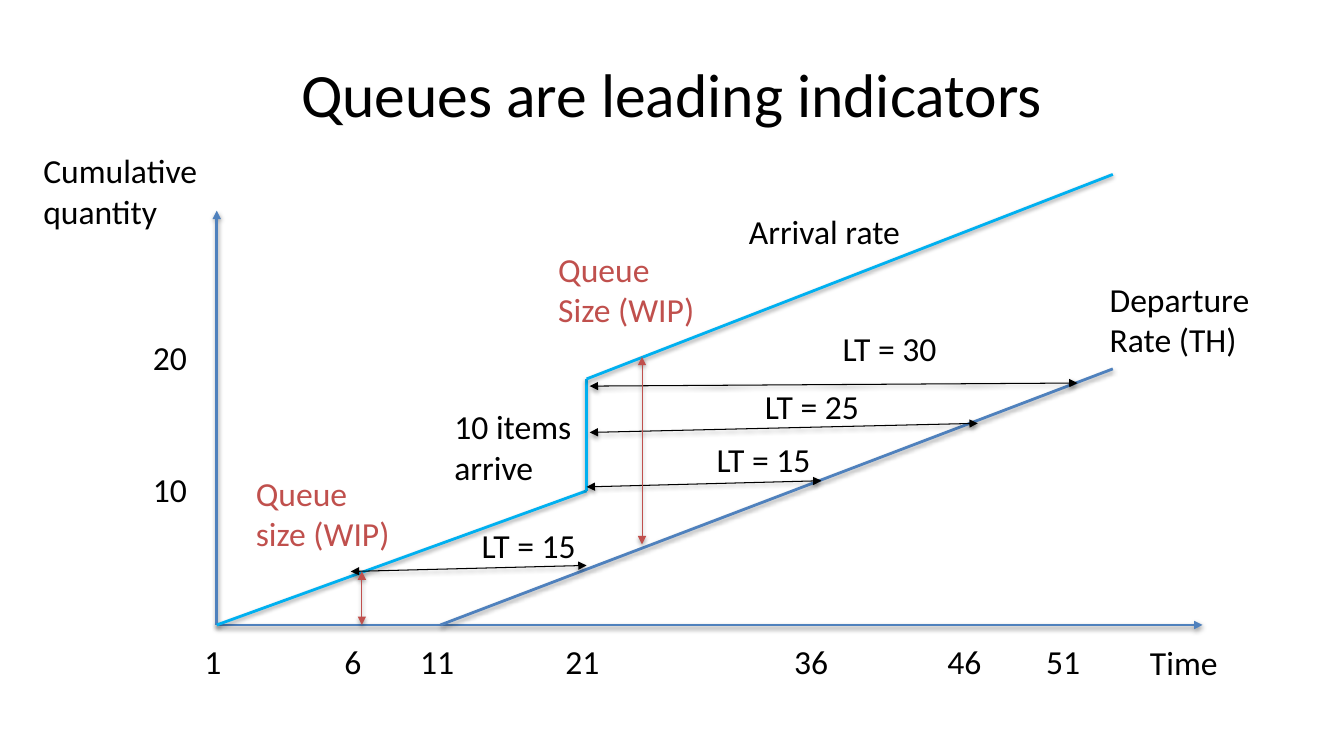
from dataclasses import dataclass
from itertools import pairwise

from lxml import etree
from pptx import Presentation
from pptx.dml.color import RGBColor
from pptx.enum.shapes import MSO_CONNECTOR
from pptx.enum.text import MSO_ANCHOR, MSO_AUTO_SIZE, PP_ALIGN
from pptx.oxml import parse_xml
from pptx.oxml.ns import qn
from pptx.util import Pt

STRAIGHT = MSO_CONNECTOR.STRAIGHT
MIDDLE = MSO_ANCHOR.MIDDLE
GROW = MSO_AUTO_SIZE.SHAPE_TO_FIT_TEXT
CENTER = PP_ALIGN.CENTER
LEFT = PP_ALIGN.LEFT


@dataclass(frozen=True)
class Theme:
    font: str = "Calibri"
    title_size: float = 44
    label_size: float = 24
    thick: float = 2
    thin: float = 0.75
    ink: str = "000000"
    axis: str = "4F81BD"
    arrival: str = "00B0F0"
    queue: str = "C0504D"


THEME = Theme()
SHADOW = (
    '<a:effectLst xmlns:a="http://schemas.openxmlformats.org/drawingml/2006/main">'
    '<a:outerShdw blurRad="40000" dist="20000" dir="5400000" rotWithShape="0">'
    '<a:srgbClr val="000000"><a:alpha val="38000"/></a:srgbClr>'
    "</a:outerShdw></a:effectLst>"
)

ORIGIN = (154.8, 446.4)
AXIS_ENDS = [(859, 446.4), (154.8, 150.5)]
ARRIVAL = [ORIGIN, (419, 350.6), (419, 270.7), (794.9, 124.6)]
DEPARTURE = [(314.6, 446.4), (794.9, 263.5)]
LEAD_TIMES = [
    ("LT = 15", (337, 371.5), (250.6, 408.2), (419, 403.9)),
    ("LT = 30", (594.7, 230.4), (421.2, 275.8), (769.7, 273.6)),
    ("LT = 25", (539.3, 272.2), (421.2, 308.9), (698.4, 302.4)),
    ("LT = 15", (504.7, 310.3), (419, 347.8), (586.8, 343.4)),
]
QUEUE_SIZES = [
    ("Queue\nsize (WIP)", (175.7, 334.1), 110.9, (258.5, 408.2), (258.5, 446.4)),
    ("Queue\nSize (WIP)", (391.7, 174.2), 112.3, (458.6, 254.9), (458.6, 388.8)),
]
TIME_TICKS = {"1": 139, "6": 239, "11": 293, "21": 396.7,
              "36": 560.2, "46": 669.6, "51": 740.2}
QUANTITY_TICKS = {"10": 331.2, "20": 236.9}
LABELS = [
    ("Time", (814.3, 455), 63.4),
    ("Cumulative\nquantity", (23.8, 103.7), 126),
    ("10 items\narrive", (317.5, 286.6), 104.4),
    ("Arrival rate", (527.8, 146.9), 123.8),
    ("Departure\nRate (TH)", (785.5, 195.8), 121),
]


def apply_format(target, values):
    for name, value in values.items():
        setattr(target, name, value)


def add_text(page, text, place, size, color, type_size, align, frame_format):
    box = page.shapes.add_textbox(*map(Pt, (*place, *size)))
    frame = box.text_frame
    frame.text = text
    apply_format(frame, frame_format)
    for para in frame.paragraphs:
        para.alignment = align
        apply_format(para.font, {"name": THEME.font, "size": Pt(type_size)})
        para.font.color.rgb = RGBColor.from_string(color)


def add_title(page, text):
    add_text(page, text, (48, 21.6), (864, 90), THEME.ink, THEME.title_size,
             CENTER, {"word_wrap": True, "vertical_anchor": MIDDLE})


def add_label(page, text, place, width, color=THEME.ink):
    height = 65.4 if "\n" in text else 36.4
    add_text(page, text, place, (width, height), color, THEME.label_size,
             LEFT, {"word_wrap": False, "auto_size": GROW})


def add_line(page, start, end, color, weight, arrows=()):
    line = page.shapes.add_connector(STRAIGHT, *map(Pt, (*start, *end)))
    line.line.color.rgb = RGBColor.from_string(color)
    line.line.width = Pt(weight)
    outline = line.line._get_or_add_ln()
    for arrow in arrows:
        etree.SubElement(outline, qn(f"a:{arrow}"), type="triangle")
    line._element.spPr.append(parse_xml(SHADOW))


def add_span_arrow(page, start, end, color):
    add_line(page, start, end, color, THEME.thin, ("headEnd", "tailEnd"))


def add_curve(page, points, color):
    for start, end in pairwise(points):
        add_line(page, start, end, color, THEME.thick)


def add_ticks(page):
    for text, left in TIME_TICKS.items():
        add_label(page, text, (left, 454.4), 14.4 + 12.2 * len(text))
    for text, top in QUANTITY_TICKS.items():
        add_label(page, text, (102.2, top), 38.8)


def main():
    deck = Presentation()
    apply_format(deck, {"slide_width": Pt(960), "slide_height": Pt(540)})
    page = deck.slides.add_slide(deck.slide_layouts[6])

    add_title(page, "Queues are leading indicators")
    for end in AXIS_ENDS:
        add_line(page, ORIGIN, end, THEME.axis, THEME.thick, ("tailEnd",))
    add_curve(page, ARRIVAL, THEME.arrival)
    add_curve(page, DEPARTURE, THEME.axis)
    for text, place, start, end in LEAD_TIMES:
        add_span_arrow(page, start, end, THEME.ink)
        add_label(page, text, place, 82)
    for text, place, width, start, end in QUEUE_SIZES:
        add_span_arrow(page, start, end, THEME.queue)
        add_label(page, text, place, width, THEME.queue)
    add_ticks(page)
    for text, place, width in LABELS:
        add_label(page, text, place, width)

    deck.save("out.pptx")


if __name__ == "__main__":
    main()
